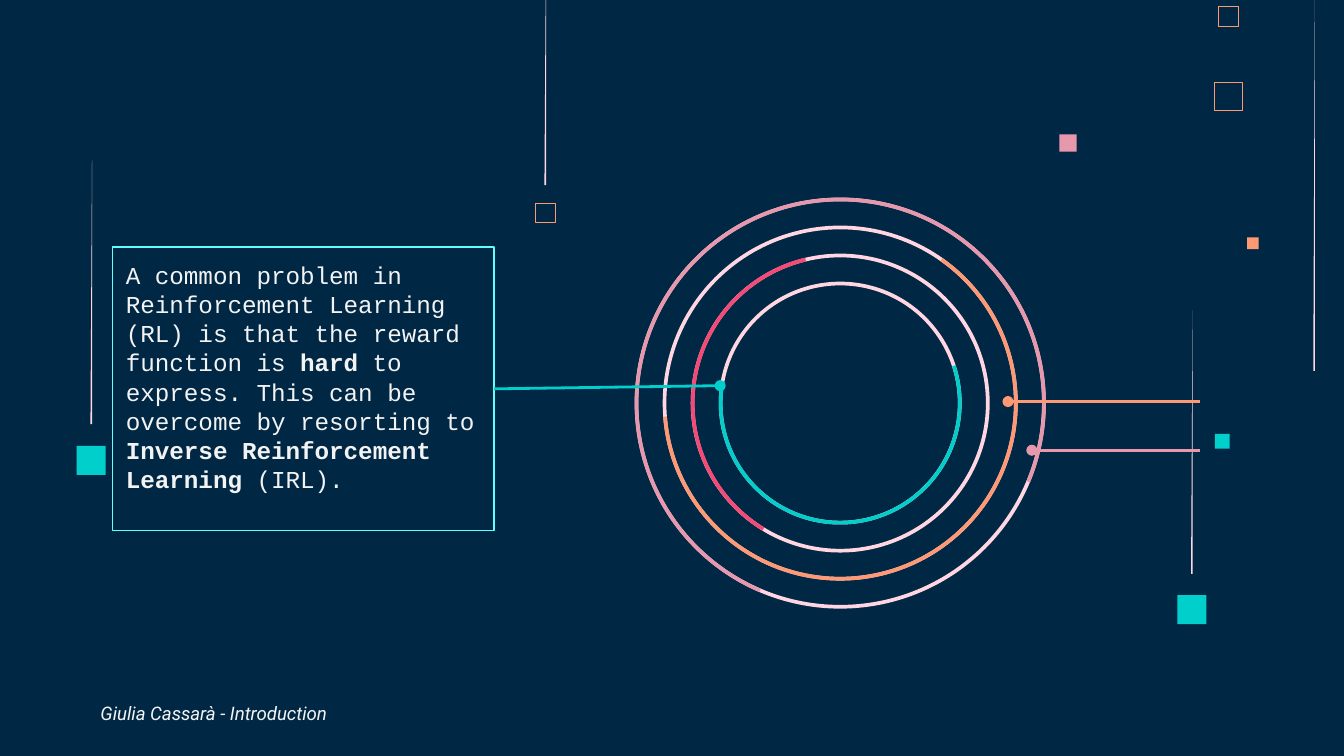
from lxml import etree
from pptx import Presentation
from pptx.dml.color import RGBColor
from pptx.enum.shapes import MSO_CONNECTOR, MSO_SHAPE
from pptx.enum.text import MSO_ANCHOR, PP_ALIGN
from pptx.oxml.ns import qn
from pptx.util import Cm, Pt

RECTANGLE = MSO_SHAPE.RECTANGLE
DONUT = MSO_SHAPE.DONUT
BLOCK_ARC = MSO_SHAPE.BLOCK_ARC
STRAIGHT = MSO_CONNECTOR.STRAIGHT
TOP = MSO_ANCHOR.TOP
LEFT = PP_ALIGN.LEFT
RIGHT_SIDE = 3

NAVY, TEAL, CYAN = "002845", "00CFCC", "5EFFFD"
ORANGE, PINK, BLUSH, RED = "FF9973", "E898AC", "FFD6E1", "F64975"
TEXT_COLOUR = "F3F3F3"


def colour(value):
    return RGBColor.from_string(value)


class SlideBuilder:
    """Draws styled elements on the current slide; lengths are centimetres."""

    def __init__(self, slide):
        self.slide = slide
        slide.background.fill.solid()
        slide.background.fill.fore_color.rgb = colour(NAVY)

    def paint(self, shape, fill=None, line=None, weight=0.75):
        shape.shadow.inherit = False
        if fill:
            shape.fill.solid()
            shape.fill.fore_color.rgb = colour(fill)
        else:
            shape.fill.background()
        if line:
            shape.line.color.rgb = colour(line)
            shape.line.width = Pt(weight)
        else:
            shape.line.fill.background()
        return shape

    def shape(self, kind, left, top, width, height, **style):
        shape = self.slide.shapes.add_shape(
            kind, Cm(left), Cm(top), Cm(width), Cm(height))
        return self.paint(shape, **style)

    def beam(self, left, top, bottom, width=0.03):
        """A tall sliver that fades to a point at the top."""
        right = left + width
        builder = self.slide.shapes.build_freeform(Cm(right), Cm(top))
        builder.add_line_segments(
            [(Cm(left), Cm(bottom)), (Cm(right), Cm(bottom))], close=True)
        self.paint(builder.convert_to_shape(), fill=BLUSH)

    def ring(self, centre, size, thickness):
        left, top = (value - size / 2 for value in centre)
        ring = self.shape(DONUT, left, top, size, size, fill=BLUSH)
        ring.adjustments[0] = thickness / size

    def arc(self, centre, size, thickness, start, end, rotation, fill):
        left, top = (value - size / 2 for value in centre)
        arc = self.shape(BLOCK_ARC, left, top, size, size, fill=fill)
        # Angles are stored in 60000ths of a degree, adjustments in 100000ths
        arc.adjustments[0] = start * 0.6
        arc.adjustments[1] = end * 0.6
        arc.adjustments[2] = thickness / size
        arc.rotation = rotation

    def pointer(self, start, end, line, box=None):
        pointer = self.slide.shapes.add_connector(
            STRAIGHT, *(Cm(value) for value in start + end))
        if box is not None:
            pointer.begin_connect(box, RIGHT_SIDE)
        pointer.line.color.rgb = colour(line)
        pointer.line.width = Pt(1.5)
        outline = pointer.line._get_or_add_ln()
        etree.SubElement(outline, qn("a:tailEnd"), type="oval")
        etree.SubElement(pointer._element.spPr, qn("a:effectLst"))

    def fill_text(self, box, spans, font, size, italic=False):
        """Fill a box with (text, bold) spans."""
        frame = box.text_frame
        frame.word_wrap = True
        frame.vertical_anchor = TOP
        frame.margin_left = frame.margin_right = Cm(0.25)
        frame.margin_top = frame.margin_bottom = Cm(0.25)
        para = frame.paragraphs[0]
        para.alignment = LEFT
        for text, bold in spans:
            span = para.add_run()
            span.text = text
            span.font.name = font
            span.font.size = Pt(size)
            span.font.bold = bold
            span.font.italic = italic
            span.font.color.rgb = colour(TEXT_COLOUR)

    def text_box(self, left, top, width, height):
        return self.slide.shapes.add_textbox(
            Cm(left), Cm(top), Cm(width), Cm(height))


def main():
    deck = Presentation()
    deck.slide_width, deck.slide_height = Cm(25.4), Cm(14.29)
    page = SlideBuilder(deck.slides.add_slide(deck.slide_layouts[6]))

    # Decorative squares: left, top, size, style
    for left, top, size, style in [
        (20.02, 2.54, 0.33, {"fill": PINK}),
        (22.96, 8.2, 0.28, {"fill": TEAL}),
        (22.95, 1.55, 0.53, {"line": ORANGE, "weight": 0.45}),
        (23.03, 0.12, 0.37, {"line": ORANGE, "weight": 0.32}),
        (23.57, 4.49, 0.22, {"fill": ORANGE}),
        (10.12, 3.84, 0.37, {"line": ORANGE, "weight": 0.32}),
        (22.25, 11.25, 0.55, {"fill": TEAL}),
        (1.45, 8.43, 0.55, {"fill": TEAL}),
    ]:
        page.shape(RECTANGLE, left, top, size, size, **style)

    # Fading vertical beams
    for left, top, bottom in [
        (10.29, -1.22, 3.5), (24.82, 0, 7.01),
        (22.51, 5.87, 10.85), (1.71, 3.02, 8.02),
    ]:
        page.beam(left, top, bottom)

    # Concentric rings, then a coloured arc on each, from the outside in
    centre, thickness = (15.88, 7.62), 0.07
    arcs = [
        (263.2, 172.7, 210, PINK),
        (305.2, 175.6, 0, ORANGE),
        (40.2, 175.2, 81.2, RED),
        (328.7, 175.2, 13.1, TEAL),
    ]
    sizes = [7.77 - 1.06 * index for index in range(len(arcs))]
    for size in sizes:
        page.ring(centre, size, thickness)
    for size, arc in zip(sizes, arcs):
        page.arc(centre, size, thickness, *arc)

    # Problem statement
    statement = page.shape(RECTANGLE, 2.13, 4.67, 7.21, 5.36, line=CYAN)
    page.fill_text(statement, [
        ("A common problem in Reinforcement Learning (RL) is that "
         "the reward function is ", False),
        ("hard", True),
        (" to express. This can be overcome by resorting to ", False),
        ("Inverse Reinforcement Learning", True),
        (" (IRL).", False),
    ], "Courier New", 13)

    # Pointers to the rings
    page.pointer((9.34, 7.35), (13.61, 7.29), TEAL, statement)
    page.pointer((22.68, 7.59), (19.05, 7.59), ORANGE)
    page.pointer((22.68, 8.51), (19.5, 8.51), PINK)

    # Footer
    footer = page.text_box(1.65, 13.06, 5.18, 0.71)
    page.fill_text(footer, [("Giulia Cassarà - Introduction", False)],
                   "Roboto", 10, italic=True)

    deck.save("out.pptx")


if __name__ == "__main__":
    main()
